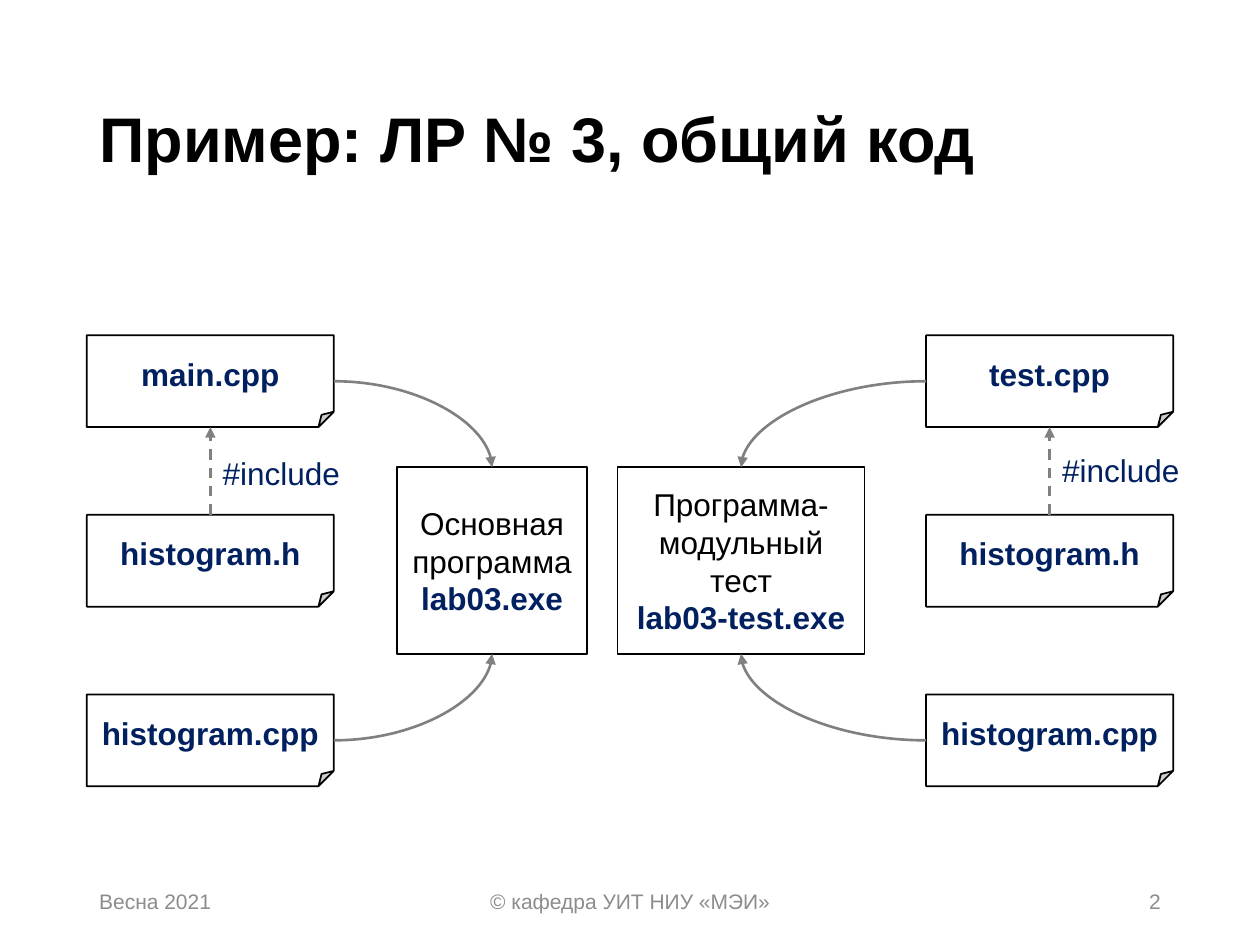
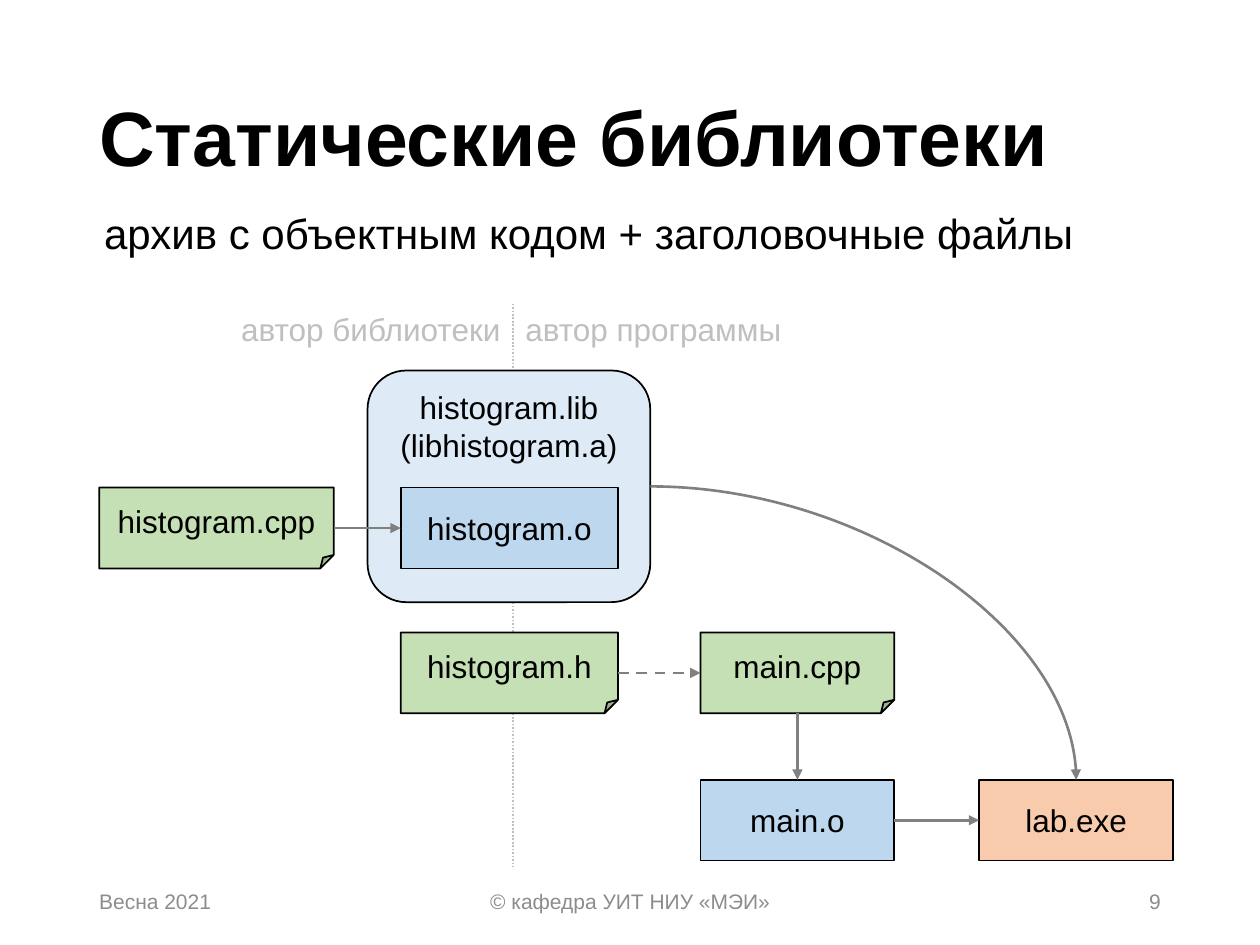
from dataclasses import dataclass

from lxml import etree
from pptx import Presentation
from pptx.dml.color import RGBColor
from pptx.enum.dml import MSO_LINE
from pptx.enum.shapes import MSO_CONNECTOR, MSO_SHAPE
from pptx.enum.text import MSO_ANCHOR, MSO_AUTO_SIZE, PP_ALIGN
from pptx.oxml.ns import qn
from pptx.util import Cm, Pt

STRAIGHT, CURVE = MSO_CONNECTOR.STRAIGHT, MSO_CONNECTOR.CURVE
FILE, BOX, LIBRARY = MSO_SHAPE.FOLDED_CORNER, MSO_SHAPE.RECTANGLE, MSO_SHAPE.FLOWCHART_ALTERNATE_PROCESS
LEFT, CENTER, RIGHT = PP_ALIGN.LEFT, PP_ALIGN.CENTER, PP_ALIGN.RIGHT
TOP, MIDDLE = MSO_ANCHOR.TOP, MSO_ANCHOR.MIDDLE
NO_AUTOFIT = MSO_AUTO_SIZE.NONE
DASH, DOTS = MSO_LINE.DASH, MSO_LINE.ROUND_DOT
SIDE_TOP, SIDE_LEFT, SIDE_BOTTOM, SIDE_RIGHT = range(4)
TITLE_ONLY = 5


@dataclass(frozen=True)
class Theme:
    font: str = "Arial"
    black: str = "000000"
    white: str = "FFFFFF"
    navy: str = "002060"
    arrow: str = "808080"
    muted: str = "BFBFBF"
    footer: str = "8C8C8C"
    source: str = "C5E0B4"
    binary: str = "BDD7EE"
    library: str = "DEEBF7"
    program: str = "F8CBAD"
    title_size: int = 44
    long_title_size: int = 36
    subtitle_size: int = 24
    body_size: int = 18
    footer_size: int = 12
    outline: float = 1
    arrow_width: float = 1.5


THEME = Theme()


def assign(target, values):
    for name, value in values.items():
        setattr(target, name, value)


class Deck:
    def __init__(self, theme):
        self.theme = theme
        self.presentation = Presentation()
        assign(self.presentation, {"slide_width": Cm(25.4), "slide_height": Cm(19.05)})
        self.slide = None

    def new_slide(self, title, size, number):
        layout = self.presentation.slide_layouts[TITLE_ONLY]
        self.slide = self.presentation.slides.add_slide(layout)
        heading = self.slide.shapes.title
        assign(heading, {"left": Cm(1.75), "top": Cm(1.02), "width": Cm(21.89), "height": Cm(3.68)})
        heading.text_frame.auto_size = NO_AUTOFIT
        self.fill_text(heading, [(title, self.theme.black, True)], size, LEFT, MIDDLE)
        heading.text_frame.paragraphs[0].line_spacing = 0.9
        for left, width, text, align in (
            (1.75, 5.72, "Весна 2021", LEFT),
            (8.41, 8.59, "© кафедра УИТ НИУ «МЭИ»", CENTER),
            (17.93, 5.72, str(number), RIGHT),
        ):
            self.label(text, left, 17.66, width, 1.02, self.theme.footer,
                       self.theme.footer_size, align, MIDDLE)

    def fill_text(self, shape, pieces, size, align, anchor, wrap=True):
        assign(shape.text_frame, {"word_wrap": wrap, "vertical_anchor": anchor})
        paragraph = shape.text_frame.paragraphs[0]
        paragraph.alignment = align
        for text, color, bold in pieces:
            for index, line in enumerate(text.split("\n")):
                if index:
                    paragraph.add_line_break()
                if line:
                    run = paragraph.add_run()
                    run.text = line
                    assign(run.font, {"name": self.theme.font, "size": Pt(size), "bold": bold})
                    run.font.color.rgb = RGBColor.from_string(color)

    def label(self, text, left, top, width, height, color, size, align=LEFT, anchor=TOP, wrap=True):
        box = self.slide.shapes.add_textbox(Cm(left), Cm(top), Cm(width), Cm(height))
        self.fill_text(box, [(text, color, False)], size, align, anchor, wrap)

    def block(self, kind, pieces, left, top, width, height, fill, anchor=MIDDLE):
        shape = self.slide.shapes.add_shape(kind, Cm(left), Cm(top), Cm(width), Cm(height))
        shape.shadow.inherit = False
        shape.fill.solid()
        shape.fill.fore_color.rgb = RGBColor.from_string(fill)
        shape.line.color.rgb = RGBColor.from_string(self.theme.black)
        shape.line.width = Pt(self.theme.outline)
        self.fill_text(shape, pieces, self.theme.body_size, CENTER, anchor)
        return shape

    def line(self, kind, color, width, dash=None, ends=(0, 0, 0, 0)):
        connector = self.slide.shapes.add_connector(kind, *map(Cm, ends))
        connector.line.color.rgb = RGBColor.from_string(color)
        assign(connector.line, {"width": Pt(width), "dash_style": dash})
        etree.SubElement(connector._element.spPr, qn("a:effectLst"))
        return connector

    def arrow(self, start, start_side, end, end_side, kind=STRAIGHT, dash=None):
        connector = self.line(kind, self.theme.arrow, self.theme.arrow_width, dash)
        connector.begin_connect(start, start_side)
        connector.end_connect(end, end_side)
        properties = connector._element.spPr
        if kind == CURVE:
            properties.find(qn("a:prstGeom")).set("prst", "curvedConnector2")
        etree.SubElement(properties.find(qn("a:ln")), qn("a:tailEnd"), type="triangle")


def shared_code_slide(deck):
    theme = deck.theme
    deck.new_slide("Пример: ЛР № 3, общий код", theme.long_title_size, 2)
    file_width, file_height, first_top, step = 4.98, 1.85, 6.76, 3.62
    for entry, file_left, include_top, purpose, program_name, program_left, program_width in (
        ("main.cpp", 1.75, 9.02, "Основная программа\n", "lab03.exe", 8, 3.84),
        ("test.cpp", 18.67, 8.97, "Программа-модульный тест\n", "lab03-test.exe", 12.45, 4.98),
    ):
        entry_file, header, implementation = [
            deck.block(FILE, [(name, theme.navy, True)], file_left, first_top + row * step,
                       file_width, file_height, theme.white)
            for row, name in enumerate((entry, "histogram.h", "histogram.cpp"))
        ]
        program = deck.block(
            BOX, [(purpose, theme.black, False), (program_name, theme.navy, True)],
            program_left, 9.42, program_width, 3.76, theme.white)
        inner_side = SIDE_RIGHT if file_left < program_left else SIDE_LEFT
        deck.arrow(entry_file, inner_side, program, SIDE_TOP, CURVE)
        deck.arrow(implementation, inner_side, program, SIDE_BOTTOM, CURVE)
        deck.arrow(header, SIDE_TOP, entry_file, SIDE_BOTTOM, dash=DASH)
        deck.label("#include", file_left + file_width / 2, include_top, 2.9, 1.02,
                   theme.navy, theme.body_size, wrap=False)


def static_library_slide(deck):
    theme = deck.theme
    deck.new_slide("Статические библиотеки", theme.title_size, 9)
    deck.label("архив с объектным кодом + заголовочные файлы", 1.85, 4.06, 20.24, 1.27,
               theme.black, theme.subtitle_size, wrap=False)
    border, authors_top, author_width = 10.34, 6.12, 7.06
    deck.line(STRAIGHT, theme.muted, theme.outline, DOTS, (border, authors_top, border, 17.48))
    for author, left, align in (
        ("автор библиотеки", border - author_width, RIGHT),
        ("автор программы", border, LEFT),
    ):
        deck.label(author, left, authors_top, author_width, 1.02, theme.muted, theme.body_size, align)

    library = deck.block(LIBRARY, [("histogram.lib\n(libhistogram.a)", theme.black, False)],
                         7.41, 7.47, 5.7, 4.67, theme.library, TOP)
    compile_row, header_row, link_row = 9.83, 12.75, 15.72
    histogram_o, histogram_cpp, histogram_h, main_cpp, main_o, lab_exe = [
        deck.block(kind, [(name, theme.black, False)], left, top, width, 1.63, fill)
        for kind, name, left, top, width, fill in (
            (BOX, "histogram.o", 8.08, compile_row, 4.38, theme.binary),
            (FILE, "histogram.cpp", 2, compile_row, 4.73, theme.source),
            (FILE, "histogram.h", 8.08, header_row, 4.38, theme.source),
            (FILE, "main.cpp", 14.12, header_row, 3.91, theme.source),
            (BOX, "main.o", 14.12, link_row, 3.91, theme.binary),
            (BOX, "lab.exe", 19.74, link_row, 3.91, theme.program),
        )
    ]
    deck.arrow(histogram_cpp, SIDE_RIGHT, histogram_o, SIDE_LEFT)
    deck.arrow(histogram_h, SIDE_RIGHT, main_cpp, SIDE_LEFT, dash=DASH)
    deck.arrow(main_cpp, SIDE_BOTTOM, main_o, SIDE_TOP)
    deck.arrow(main_o, SIDE_RIGHT, lab_exe, SIDE_LEFT)
    deck.arrow(library, SIDE_RIGHT, lab_exe, SIDE_TOP, CURVE)


def main():
    deck = Deck(THEME)
    shared_code_slide(deck)
    static_library_slide(deck)
    deck.presentation.save("out.pptx")


if __name__ == "__main__":
    main()
